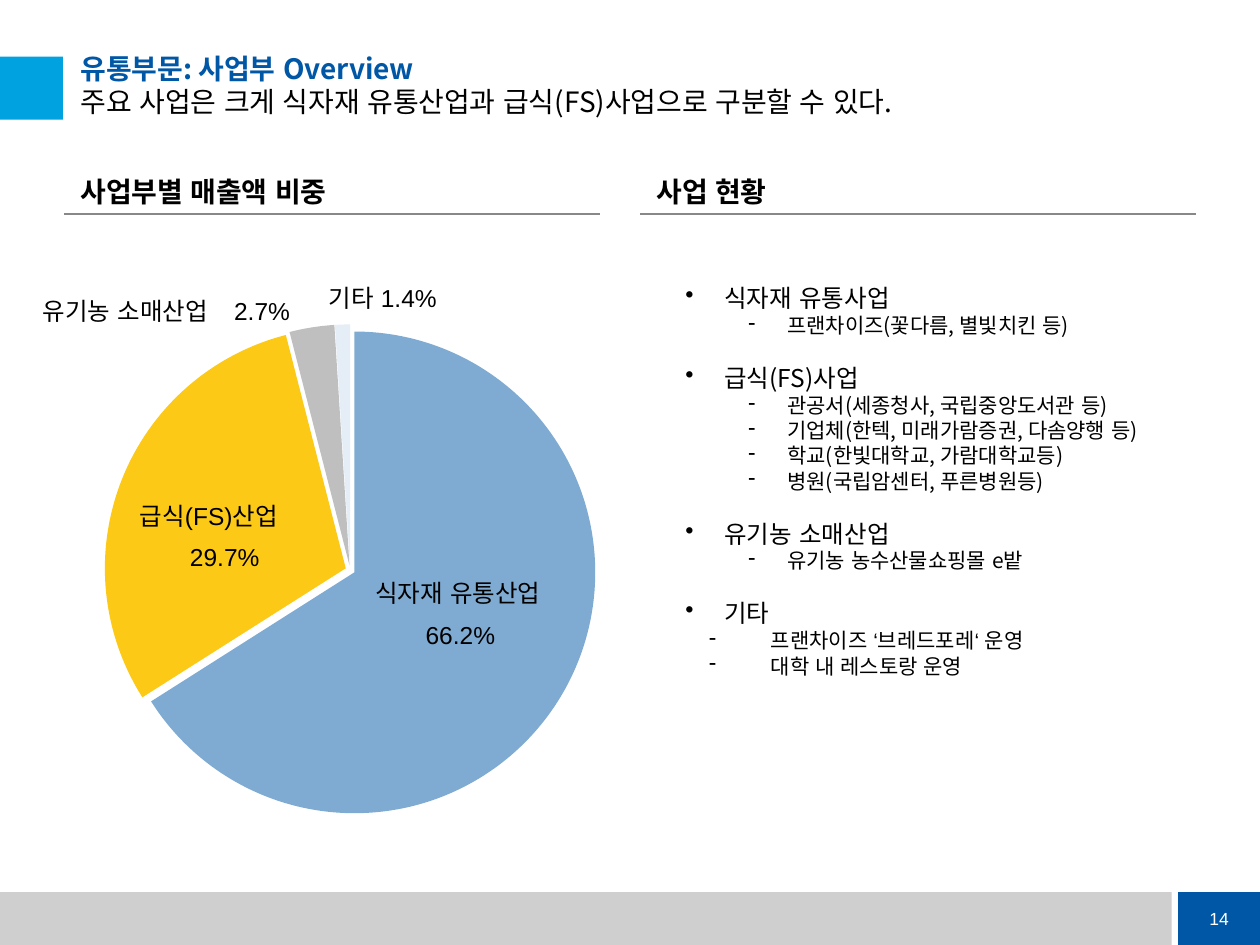
from collections import namedtuple

from lxml.etree import SubElement
from pptx import Presentation
from pptx.chart.data import CategoryChartData
from pptx.dml.color import RGBColor
from pptx.enum.chart import XL_CHART_TYPE as ChartType
from pptx.enum.shapes import MSO_CONNECTOR as Connector, MSO_SHAPE as Preset
from pptx.enum.text import MSO_ANCHOR as Anchor, PP_ALIGN as Align
from pptx.oxml import parse_xml
from pptx.oxml.ns import nsdecls, qn
from pptx.util import Inches, Pt

COLUMNS, ROWS = 100, 75
SLIDE_WIDTH, SLIDE_HEIGHT = Inches(10), Inches(7.5)
BLUE = RGBColor(0x00, 0x57, 0xA6)
CYAN = RGBColor(0x00, 0xA2, 0xDF)
BAND_GRAY = RGBColor(0xCF, 0xCF, 0xCF)
RULE_GRAY = RGBColor(0x88, 0x88, 0x88)
BLACK = RGBColor(0x00, 0x00, 0x00)
WHITE = RGBColor(0xFF, 0xFF, 0xFF)
LATIN, KOREAN = "Arial", "Noto Sans CJK KR"
LINE_HEIGHT = 1.2

Box = namedtuple("Box", "left top width height")
Segment = namedtuple("Segment", "name value share color")

SEGMENTS = [
    Segment("식자재 유통산업", 66, "66.2%", RGBColor(0x7F, 0xAB, 0xD2)),
    Segment("급식(FS)산업", 30, "29.7%", RGBColor(0xFC, 0xC9, 0x17)),
    Segment("유기농 소매산업", 3, "2.7%", RGBColor(0xBF, 0xBF, 0xBF)),
    Segment("기타", 1, "1.4%", RGBColor(0xE5, 0xEE, 0xF6)),
]
BUSINESSES = [
    ("식자재 유통사업", ["프랜차이즈(꽃다름, 별빛치킨 등)"]),
    ("급식(FS)사업", [
        "관공서(세종청사, 국립중앙도서관 등)",
        "기업체(한텍, 미래가람증권, 다솜양행 등)",
        "학교(한빛대학교, 가람대학교등)",
        "병원(국립암센터, 푸른병원등)",
    ]),
    ("유기농 소매산업", ["유기농 농수산물쇼핑몰 e밭"]),
    ("기타", ["프랜차이즈 ‘브레드포레‘ 운영", "대학 내 레스토랑 운영"]),
]


def place(box):
    return (int(SLIDE_WIDTH * box.left / COLUMNS), int(SLIDE_HEIGHT * box.top / ROWS),
            int(SLIDE_WIDTH * box.width / COLUMNS), int(SLIDE_HEIGHT * box.height / ROWS))


def within(box, left, top, width, height):
    return Box(box.left + left, box.top + top, width, height)


def style_font(font, size, color=BLACK, name=KOREAN, bold=False):
    font.size, font.name, font.bold = Pt(size), name, bold
    font.color.rgb = color
    SubElement(font._element, qn("a:ea")).set("typeface", LATIN)


def style_paragraph(paragraph, size, **options):
    style_font(paragraph.font, size, **options)
    paragraph.line_spacing = Pt(round(size * LINE_HEIGHT, 1))


def clear_margins(frame):
    frame.margin_left = frame.margin_right = frame.margin_top = frame.margin_bottom = 0


def add_text(slide, box, text, size, **options):
    frame = slide.shapes.add_textbox(*place(box)).text_frame
    frame.word_wrap = True
    frame.text = text
    style_paragraph(frame.paragraphs[0], size, **options)
    return frame


def add_block(slide, box, color):
    shape = slide.shapes.add_shape(Preset.RECTANGLE, *place(box))
    shape.shadow.inherit = False
    shape.fill.solid()
    shape.fill.fore_color.rgb = color
    shape.line.fill.background()
    return shape


def add_footer(slide, box, number):
    number_width, gap = 6.5, 0.5
    band_width = box.width - number_width - gap
    add_block(slide, within(box, 0, 0, band_width, box.height), BAND_GRAY)
    tile = add_block(slide, within(box, band_width + gap, 0, number_width, box.height), BLUE)
    frame = tile.text_frame
    frame.text = number
    frame.vertical_anchor = Anchor.MIDDLE
    frame.paragraphs[0].alignment = Align.CENTER
    style_font(frame.paragraphs[0].font, 10, color=WHITE, name=LATIN)


def add_title(slide, box, heading, message):
    add_block(slide, within(box, 0, 0.4, 5, 5), CYAN)
    title = slide.shapes.title
    title.left, title.top, title.width, title.height = place(
        within(box, 6.4, 0, box.width - 6.4, box.height))
    frame = title.text_frame
    clear_margins(frame)
    frame.word_wrap = True
    frame.vertical_anchor = Anchor.TOP
    paragraph = frame.paragraphs[0]
    paragraph.alignment = Align.LEFT
    paragraph.line_spacing = Pt(19)
    for text, color, bold in ((heading, BLUE, True), (message, BLACK, False)):
        if paragraph.runs:
            paragraph.add_line_break()
        run = paragraph.add_run()
        run.text = text
        style_font(run.font, 16, color=color, bold=bold)


def add_section_heading(slide, box, text):
    frame = add_text(slide, within(box, 1.3, 0, 41.2, 2.5), text, 16, bold=True)
    clear_margins(frame)
    frame.vertical_anchor = Anchor.MIDDLE
    left, top, width, height = place(box)
    rule = slide.shapes.add_connector(
        Connector.STRAIGHT, left, top + height, left + width, top + height)
    rule.line.color.rgb = RULE_GRAY
    rule.line.width = Pt(1)
    SubElement(rule._element.spPr, qn("a:effectLst"))


def add_share_chart(slide, box):
    data = CategoryChartData()
    data.categories = [segment.name for segment in SEGMENTS]
    data.add_series("Series 1", [segment.value for segment in SEGMENTS])
    chart = slide.shapes.add_chart(ChartType.PIE, *place(box), data).chart
    chart.has_legend = chart.has_title = False
    chart.font.size, chart.font.name = Pt(10), LATIN
    chart.font.color.rgb = BLACK
    plot = chart.plots[0]
    plot.vary_by_categories = False
    series = plot.series[0]
    for index, segment in enumerate(SEGMENTS):
        fill = series.points[index].format.fill
        fill.solid()
        fill.fore_color.rgb = segment.color
    first_point = series._element.find(qn("c:dPt"))
    first_point.addprevious(parse_xml(f'<c:explosion {nsdecls("c")} val="2"/>'))
    area = chart._chartSpace.chart.plotArea
    for layout in area.findall(qn("c:layout")):
        area.remove(layout)
    area.insert(0, parse_xml(
        f'<c:layout {nsdecls("c")}><c:manualLayout><c:layoutTarget val="inner"/>'
        '<c:xMode val="edge"/><c:yMode val="edge"/><c:x val="0.11"/><c:y val="0.03"/>'
        '<c:w val="0.78"/><c:h val="0.94"/></c:manualLayout></c:layout>'))


def add_share_labels(slide, box):
    wholesale, catering, organic, other = SEGMENTS
    labels = [
        (wholesale.name, 26, 21, 17.1), (wholesale.share, 30, 24.3, 11),
        (catering.name, 7.3, 14.9, 15), (catering.share, 11.3, 18.1, 11),
        (organic.name, -0.4, -1.4, 17.2), (organic.share, 14.8, -1.4, 11),
        (f"{other.name} {other.share}", 22.3, -2.4, 17.2),
    ]
    for text, left, top, width in labels:
        add_text(slide, within(box, left, top, width, 3.4), text, 14, name=LATIN)


def add_bullet(paragraph, mark, margin, hanging):
    properties = paragraph._p.get_or_add_pPr()
    properties.set("marL", str(Inches(margin)))
    properties.set("indent", str(-Inches(hanging)))
    bullet = parse_xml(f'<a:buChar {nsdecls("a")} char="{mark}"/>')
    properties.find(qn("a:defRPr")).addprevious(bullet)


def add_business_list(slide, box):
    frame = slide.shapes.add_textbox(*place(box)).text_frame
    frame.word_wrap = True
    for index, (business, details) in enumerate(BUSINESSES):
        paragraph = frame.add_paragraph() if index else frame.paragraphs[0]
        paragraph.text = business
        style_paragraph(paragraph, 14)
        paragraph.space_before = Pt(14.4 if index else 0)
        add_bullet(paragraph, "•", 0.31, 0.31)
        margin, hanging = (0.68, 0.49) if business == "기타" else (0.81, 0.31)
        for detail in details:
            paragraph = frame.add_paragraph()
            paragraph.text = detail
            paragraph.level = 1
            style_paragraph(paragraph, 12)
            add_bullet(paragraph, "-", margin, hanging)


def main():
    presentation = Presentation()
    presentation.slide_width, presentation.slide_height = SLIDE_WIDTH, SLIDE_HEIGHT
    slide = presentation.slides.add_slide(presentation.slide_layouts[5])
    add_footer(slide, Box(0, 70.8, COLUMNS, 4.2), "14")
    add_title(slide, Box(0, 4.1, 93.4, 6.6), "유통부문: 사업부 Overview",
              "주요 사업은 크게 식자재 유통산업과 급식(FS)사업으로 구분할 수 있다.")
    add_section_heading(slide, Box(5.1, 13.9, 42.5, 3.1), "사업부별 매출액 비중")
    chart_box = Box(2.8, 24.4, 50, 41.7)
    add_share_chart(slide, chart_box)
    add_share_labels(slide, chart_box)
    add_section_heading(slide, Box(50.8, 13.9, 44.1, 3.1), "사업 현황")
    add_business_list(slide, Box(53.4, 22, 41.2, 32.6))
    presentation.save("out.pptx")


if __name__ == "__main__":
    main()
